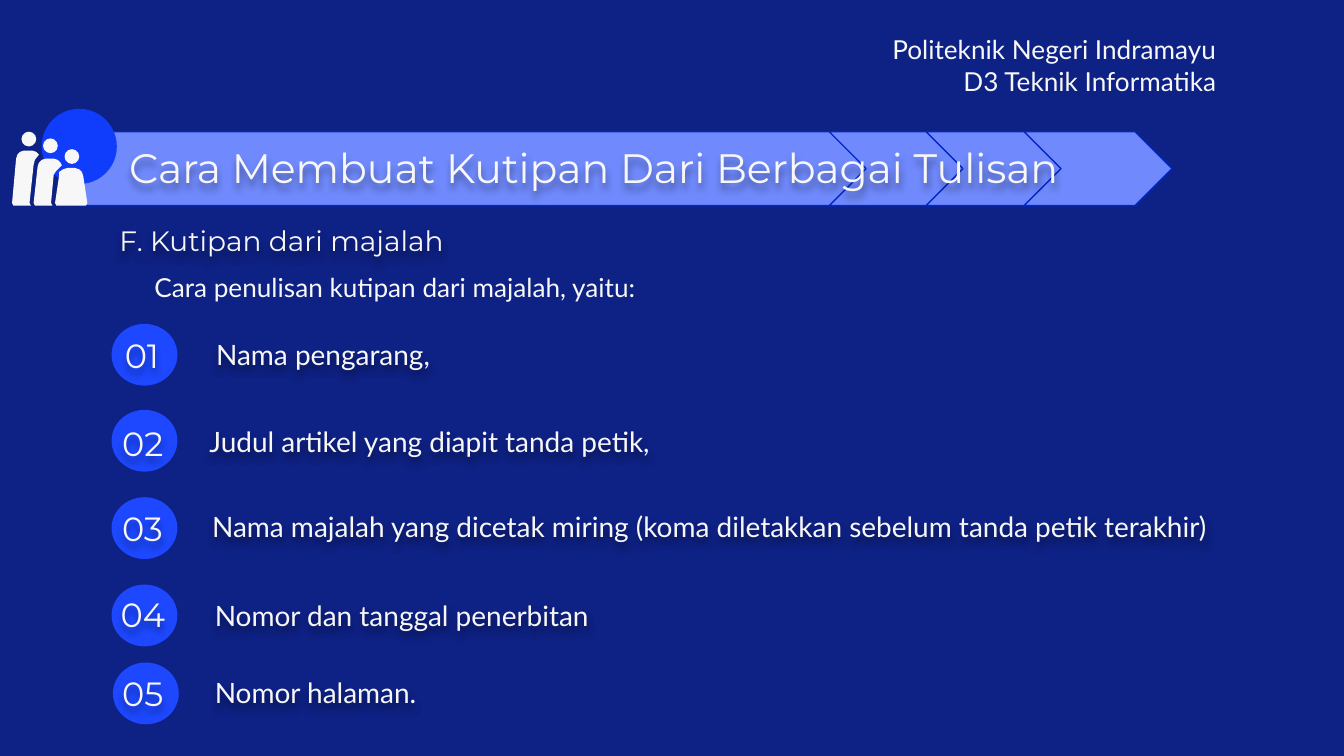
from lxml import etree
from pptx import Presentation
from pptx import util as u
from pptx.dml import color
from pptx.enum import shapes, text
from pptx.oxml import ns

NAVY = color.RGBColor(0x0E, 0x21, 0x84)
WHITE = color.RGBColor(0xF7, 0xF7, 0xF7)
BADGE_BLUE = color.RGBColor(0x1D, 0x48, 0xFF)
ICON_BLUE = color.RGBColor(0x10, 0x3C, 0xFC)
BANNER = color.RGBColor(0x70, 0x8A, 0xFD)
BANNER_LINE = color.RGBColor(0x02, 0x27, 0xC7)
SHAPE = shapes.MSO_SHAPE
ANCHOR = text.MSO_ANCHOR
ALIGN = text.PP_ALIGN

presentation = Presentation()
presentation.slide_width = u.Inches(10)
presentation.slide_height = u.Inches(10 * 9 / 16)
slide = presentation.slides.add_slide(presentation.slide_layouts[5])
slide.background.fill.solid()
slide.background.fill.fore_color.rgb = NAVY


def add_filled(kind, box, fill):
    shape = slide.shapes.add_shape(kind, *map(u.Inches, box))
    shape.shadow.inherit = False
    shape.fill.solid()
    shape.fill.fore_color.rgb = fill
    shape.line.fill.background()
    return shape


def write(shape, box, content, size, font, align=ALIGN.LEFT, anchor=ANCHOR.TOP,
          inset=0.1, shadow=True):
    shape.left, shape.top, shape.width, shape.height = map(u.Inches, box)
    frame = shape.text_frame
    frame.text = content
    frame.word_wrap = True
    frame.auto_size = text.MSO_AUTO_SIZE.NONE
    frame.vertical_anchor = anchor
    frame.margin_left = frame.margin_right = u.Inches(0.1)
    frame.margin_top = frame.margin_bottom = u.Inches(inset)
    for paragraph in frame.paragraphs:
        paragraph.alignment = align
        for run in paragraph.runs:
            run.font.size = u.Pt(size)
            run.font.name = font
            run.font.color.rgb = WHITE
    if shadow:
        effects = etree.SubElement(shape._element.spPr, ns.qn("a:effectLst"))
        outer = etree.SubElement(effects, ns.qn("a:outerShdw"), blurRad="50800",
                                 dist="38100", dir="5400000", algn="t", rotWithShape="0")
        black = etree.SubElement(outer, ns.qn("a:srgbClr"), val="000000")
        etree.SubElement(black, ns.qn("a:alpha"), val="40000")


write(slide.shapes.add_textbox(0, 0, 0, 0), (5.85, 0.16, 3.3, 0.65),
      "Politeknik Negeri Indramayu\nD3 Teknik Informatika", 14, "Lato",
      align=ALIGN.RIGHT, anchor=ANCHOR.MIDDLE, shadow=False)

banner_parts = [(SHAPE.PENTAGON, 0.59, 5.95)]
banner_parts += [(SHAPE.CHEVRON, left, 1.1) for left in (6.17, 6.89, 7.62)]
for kind, left, width in banner_parts:
    part = add_filled(kind, (left, 0.98, width, 0.55), BANNER)
    part.adjustments[0] = 0.5
    part.line.color.rgb = BANNER_LINE
    part.line.width = u.Pt(0.75)

add_filled(SHAPE.OVAL, (0.31, 0.81, 0.56, 0.56), ICON_BLUE)
for left, top in ((0.16, 0.98), (0.32, 1.03), (0.48, 1.11)):
    add_filled(SHAPE.OVAL, (left, top, 0.11, 0.11), WHITE)

bodies = [
    [(22, 151), (25, 123), (26, 119), (29, 115), (27, 113), (24, 112), (18, 112),
     (15, 113), (13, 115), (12, 118), (9, 151), (10, 153), (23, 153)],
    [(40, 130), (42, 127), (46, 123), (45, 121), (43, 119), (40, 118), (34, 118),
     (31, 119), (29, 121), (28, 124), (25, 151), (26, 153), (39, 153), (38, 151)],
    [(62, 131), (61, 128), (59, 126), (56, 125), (50, 125), (47, 126), (44, 128),
     (44, 131), (41, 151), (42, 153), (64, 153), (65, 151)],
]
for outline in bodies:
    builder = slide.shapes.build_freeform(*outline[0], scale=u.Inches(0.01))
    builder.add_line_segments(outline[1:], close=True)
    body = builder.convert_to_shape()
    body.shadow.inherit = False
    body.fill.solid()
    body.fill.fore_color.rgb = WHITE
    body.line.fill.background()

title = slide.shapes.title
title._element.getparent().append(title._element)
write(title, (0.86, 0.96, 7.62, 0.7),
      "Cara Membuat Kutipan Dari Berbagai Tulisan", 22, "Montserrat")
write(slide.shapes.add_textbox(0, 0, 0, 0), (0.79, 1.25, 7.22, 0.76),
      "F. Kutipan dari majalah", 15, "Montserrat", anchor=ANCHOR.BOTTOM)
write(slide.shapes.add_textbox(0, 0, 0, 0), (1.05, 1.97, 8.45, 0.34),
      "Cara penulisan kutipan dari majalah, yaitu:", 14, "Lato",
      inset=0.05, shadow=False)

steps = [
    (0.83, 2.41, 0.83, 2.39, 1.51, 2.41, "Nama pengarang,"),
    (0.83, 3.05, 0.81, 3.05, 1.46, 3.06, "Judul artikel yang diapit tanda petik,"),
    (0.83, 3.7, 0.81, 3.68, 1.48, 3.69,
     "Nama majalah yang dicetak miring (koma diletakkan sebelum tanda petik terakhir)"),
    (0.83, 4.35, 0.8, 4.32, 1.5, 4.35, "Nomor dan tanggal penerbitan"),
    (0.84, 4.93, 0.81, 4.91, 1.5, 4.93, "Nomor halaman."),
]
for number, step in enumerate(steps, 1):
    badge_left, badge_top, number_left, number_top, step_left, step_top, wording = step
    add_filled(SHAPE.OVAL, (badge_left, badge_top, 0.49, 0.46), BADGE_BLUE)
    write(slide.shapes.add_textbox(0, 0, 0, 0), (number_left, number_top, 0.58, 0.38),
          f"{number:02d}", 18, "Montserrat")
    write(slide.shapes.add_textbox(0, 0, 0, 0), (step_left, step_top, 8, 0.45),
          wording, 15, "Lato")

presentation.save("out.pptx")
